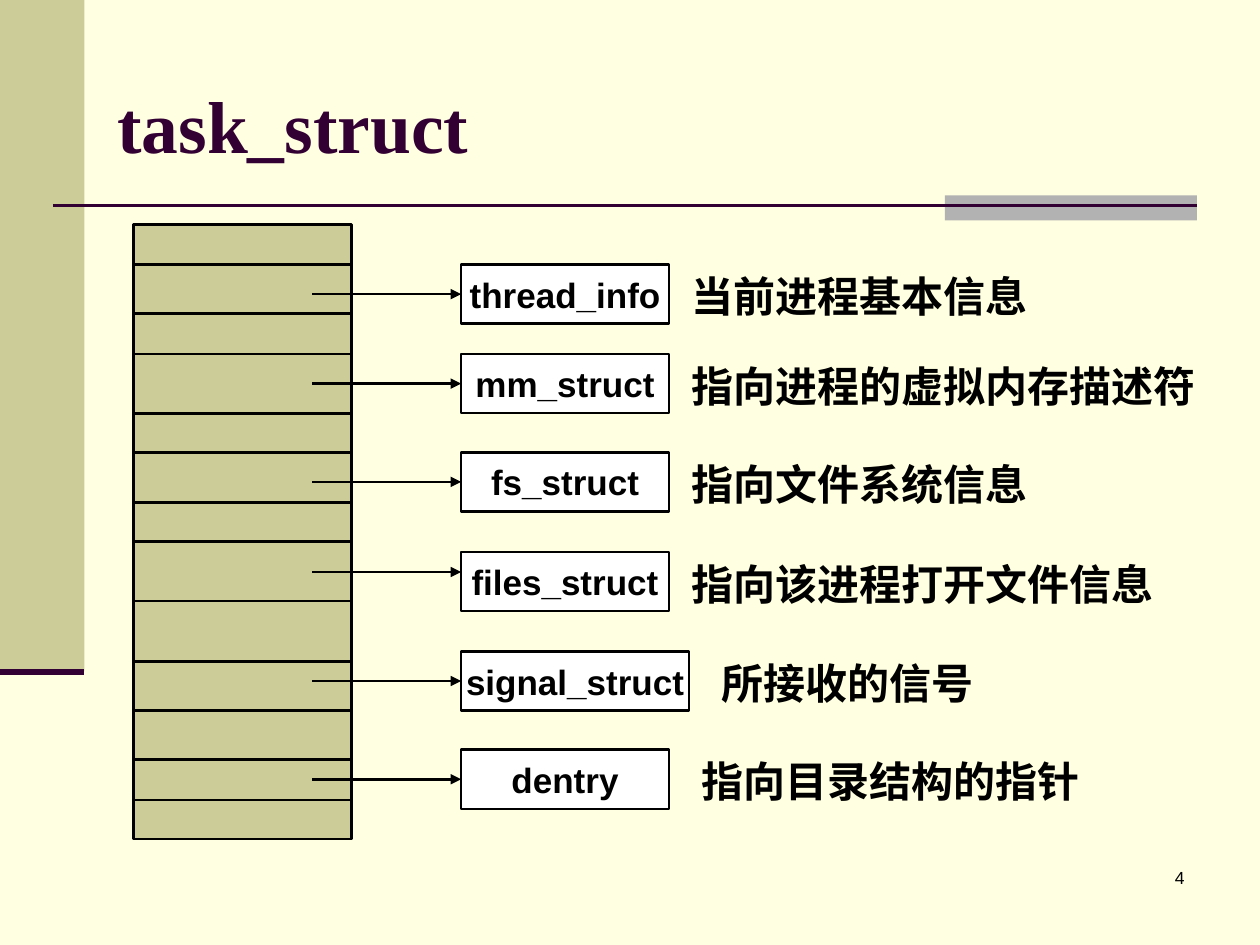
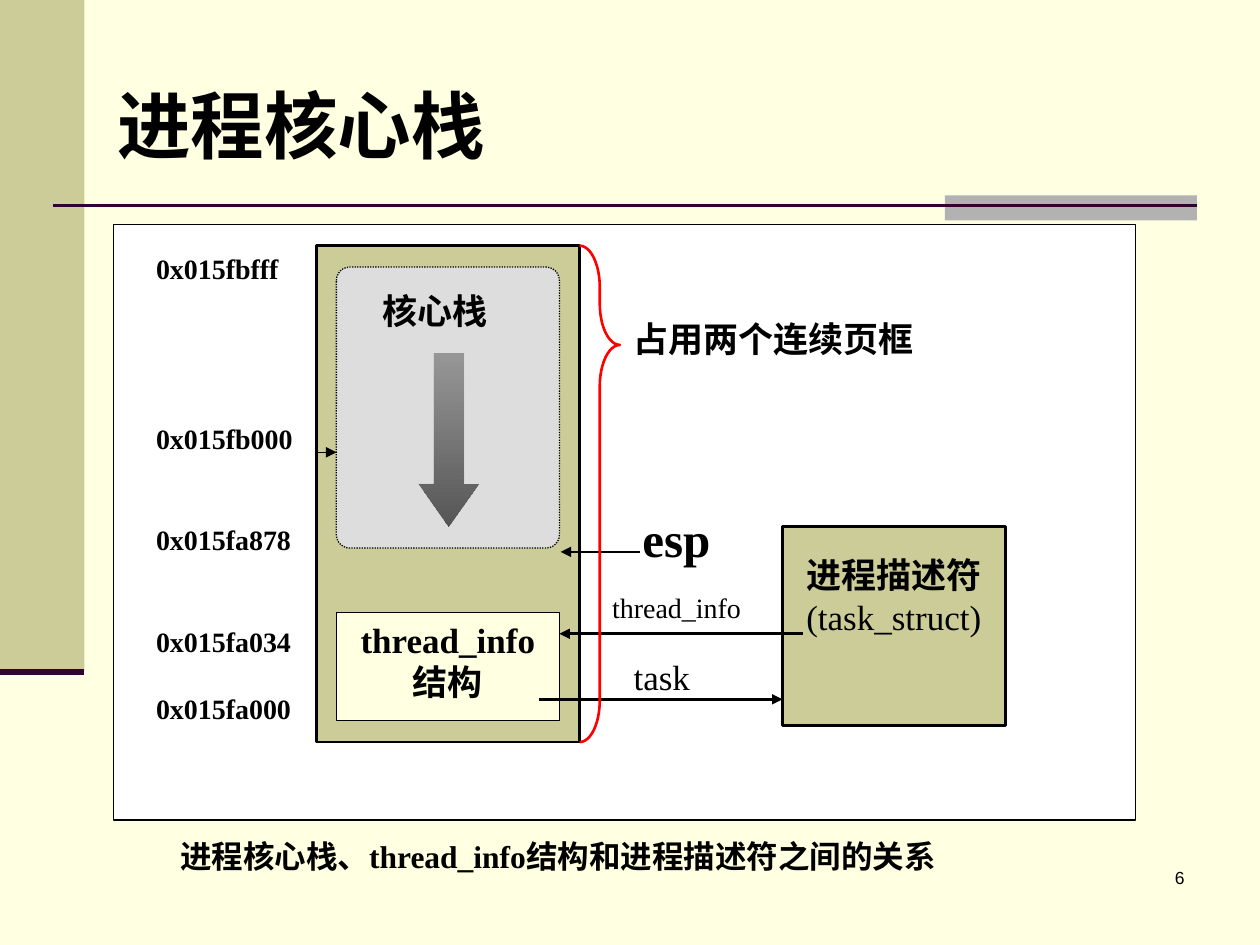
from lxml.etree import SubElement
from pptx import Presentation
from pptx.dml.color import RGBColor
from pptx.enum.dml import MSO_LINE
from pptx.enum.shapes import MSO_CONNECTOR, MSO_SHAPE as SHAPE
from pptx.enum.text import MSO_ANCHOR as ANCHOR, PP_ALIGN as ALIGN
from pptx.oxml.ns import qn
from pptx.util import Inches, Pt

# Grid: 100 columns by 75 rows, each cell a tenth of an inch
COLS, ROWS = 100, 75
CELL = Inches(0.1)

CREAM, KHAKI, PLUM = "FFFFE1", "CCCC99", "330033"
BAND, PANEL = "B2B2B2", "DDDDDD"
BLACK, WHITE, RED = "000000", "FFFFFF", "FF0000"
SANS, SERIF = "Arial", "Times New Roman"
INSETS = (1, 0.5, 1, 0.5)


def rgb(value):
    return RGBColor.from_string(value)


def grid(*cells):
    return [round(c * CELL) for c in cells]


def write(s, text, size, font=SERIF, color=BLACK, bold=True, align=ALIGN.LEFT,
          anchor=ANCHOR.TOP, insets=INSETS, wrap=True):
    """Fill a shape with text, one paragraph per line."""
    tf = s.text_frame
    tf.text = text
    tf.word_wrap = wrap
    tf.vertical_anchor = anchor
    tf.margin_left, tf.margin_top, tf.margin_right, tf.margin_bottom = grid(*insets)
    for p in tf.paragraphs:
        p.alignment = align
        for r in p.runs:
            r.font.size, r.font.name, r.font.bold = Pt(size), font, bold
            r.font.color.rgb = rgb(color)
    return s


def label(slide, at, text, size, **style):
    return write(slide.shapes.add_textbox(*grid(*at)), text, size, **style)


def shape(slide, at, fill=None, line=None, width=1.5, kind=SHAPE.RECTANGLE):
    s = slide.shapes.add_shape(kind, *grid(*at))
    s.shadow.inherit = False
    if fill:
        s.fill.solid()
        s.fill.fore_color.rgb = rgb(fill)
    else:
        s.fill.background()
    if line:
        s.line.color.rgb = rgb(line)
        s.line.width = Pt(width)
    else:
        s.line.fill.background()
    return s


def rule(slide, start, end, color=BLACK, width=1.5):
    s = slide.shapes.add_connector(MSO_CONNECTOR.STRAIGHT, *grid(*start, *end))
    s.line.color.rgb = rgb(color)
    s.line.width = Pt(width)
    SubElement(s._element.spPr, qn("a:effectLst"))
    return s


def arrow(slide, start, end, width=1.5):
    s = rule(slide, start, end, width=width)
    SubElement(s._element.spPr.find(qn("a:ln")), qn("a:tailEnd"), type="triangle")
    return s


def fade_down(s, stops):
    """Vertical gradient from (colour, opacity percent) stops."""
    s.fill.gradient()
    s.fill.gradient_angle = 270
    for position, (stop, (color, _)) in enumerate(zip(s.fill.gradient_stops, stops)):
        stop.position = position
        stop.color.rgb = rgb(color)
    colors = s._element.spPr.find(qn("a:gradFill")).iter(qn("a:srgbClr"))
    for node, (_, opacity) in zip(list(colors), stops):
        SubElement(node, qn("a:alpha"), val=str(opacity * 1000))


def new_slide(prs, title, number, title_color):
    """Slide with the shared side band, title rule, title and number."""
    slide = prs.slides.add_slide(prs.slide_layouts[5])
    shape(slide, (0, 0, 6.7, 53.3), KHAKI)
    shape(slide, (75, 15.5, 20, 2), BAND)
    rule(slide, (4.2, 16.3), (95, 16.3), PLUM)
    rule(slide, (0, 53.3), (6.7, 53.3), PLUM, 3.5)
    label(slide, (74.2, 68.3, 20.8, 5), str(number), 10, font=SANS,
          bold=False, align=ALIGN.RIGHT)
    s = slide.shapes.title
    s.left, s.top, s.width, s.height = grid(8.3, 3.6, 85, 12.5)
    write(s, title, 42, color=title_color, anchor=ANCHOR.MIDDLE)
    return slide


def task_struct_slide(prs):
    slide = new_slide(prs, "task_struct", 4, PLUM)

    # Record with its field dividers
    left, right = 10.6, 28
    shape(slide, (left, 17.8, 17.3, 48.8), KHAKI, BLACK)
    for y in (21, 24.9, 28.1, 32.8, 35.9, 39.9, 43, 47.7, 52.5, 56.4, 60.3, 63.5):
        rule(slide, (left, y), (right, y))

    # Fields: name, meaning, top, box width, meaning's left
    fields = [
        ("thread_info", "当前进程基本信息", 21, 16.5, 53.9),
        ("mm_struct", "指向进程的虚拟内存描述符", 28.1, 16.5, 53.9),
        ("fs_struct", "指向文件系统信息", 35.9, 16.5, 53.9),
        ("files_struct", "指向该进程打开文件信息", 43.8, 16.5, 53.9),
        ("signal_struct", "所接收的信号", 51.7, 18.1, 56.3),
        ("dentry", "指向目录结构的指针", 59.5, 16.5, 54.7),
    ]
    box_left, box_height, arrow_left = 36.6, 4.7, 24.8
    for name, meaning, top, width, meaning_left in fields:
        box = shape(slide, (box_left, top, width, box_height), WHITE, BLACK)
        write(box, name, 20, font=SANS, align=ALIGN.CENTER,
              anchor=ANCHOR.MIDDLE, wrap=False)
        label(slide, (meaning_left, top, 44.1, 5), meaning, 24, font=SANS)
        if name == "files_struct":  # this arrow meets its box above the middle
            arrow(slide, (arrow_left, 45.4), (box_left, 45.4))
        else:
            middle = top + box_height / 2
            arrow(slide, (arrow_left, middle), (box_left, middle)).end_connect(box, 1)


def kernel_stack_slide(prs):
    slide = new_slide(prs, "进程核心栈", 6, BLACK)
    shape(slide, (9, 17.8, 81.1, 47.3), WHITE, BLACK, 0.75)

    # Addresses, spaced by the number of lines between them
    addresses = [("0x015fbfff", 0), ("0x015fb000", 4), ("0x015fa878", 2),
                 ("0x015fa034", 2), ("0x015fa000", 1)]
    s = shape(slide, (11.4, 19.5, 15.3, 39.4), WHITE)
    write(s, "\n".join(a for a, _ in addresses), 16, align=ALIGN.JUSTIFY)
    for p, (_, gap) in zip(s.text_frame.paragraphs, addresses):
        if gap:
            p.space_before = Pt(19.4 * gap)

    # Two page frames with thread_info at the bottom
    shape(slide, (25.1, 19.5, 20.9, 39.4), KHAKI, BLACK)
    s = shape(slide, (26.7, 48.6, 17.7, 8.6), CREAM, BLACK, 0.75)
    write(s, "thread_info\n结构", 20, align=ALIGN.CENTER)
    arrow(slide, (42.8, 55.5), (62.1, 55.5))
    s = shape(slide, (47.6, 46.9, 12.9, 5.1), WHITE)
    write(s, "thread_info", 16, bold=False, insets=(1, 0, 1, 0.5))

    # Process descriptor
    s = shape(slide, (62.1, 41.8, 17.7, 15.8), KHAKI, BLACK)
    write(s, "进程描述符\n(task_struct)", 20, align=ALIGN.CENTER, insets=(1, 2.1, 1, 0.5))
    s.text_frame.paragraphs[1].runs[0].font.bold = False

    # Kernel stack growing downwards
    s = shape(slide, (26.7, 21.2, 17.7, 22.3), PANEL, BLACK, 0.75,
              SHAPE.ROUNDED_RECTANGLE)
    s.adjustments[0] = 0.06
    s.line.dash_style = MSO_LINE.ROUND_DOT
    label(slide, (29.5, 23, 10.1, 5.1), "核心栈", 20, align=ALIGN.CENTER,
          insets=(0, 0, 0, 0.1))
    s = shape(slide, (33.2, 28.1, 4.8, 13.7), kind=SHAPE.DOWN_ARROW)
    s.adjustments[0], s.adjustments[1] = 0.5, 0.71
    fade_down(s, [("808080", 75), ("313131", 79)])

    # Pointers and their labels
    write(shape(slide, (50, 39.9, 10.2, 6), WHITE), "esp", 28)
    arrow(slide, (50.8, 43.8), (44.5, 43.8))
    arrow(slide, (63.7, 50.3), (44.4, 50.3))
    label(slide, (49.3, 52, 7.5, 5.1), "task", 20, bold=False, insets=(1, 0, 1, 0.5))
    label(slide, (49.3, 24.7, 28.3, 6), "占用两个连续页框", 20)
    arrow(slide, (25.1, 35.9), (26.7, 35.9), 0.75)
    label(slide, (12.2, 65.9, 70.8, 4.7),
          "进程核心栈、thread_info结构和进程描述符之间的关系", 18,
          insets=(2.1, 0.5, 1, 0.5))

    # Brace around both page frames
    s = shape(slide, (46, 19.5, 3.2, 39.4), line=RED, kind=SHAPE.RIGHT_BRACE)
    s.adjustments[0], s.adjustments[1] = 1.03, 0.2


def main():
    prs = Presentation()
    prs.slide_width, prs.slide_height = grid(COLS, ROWS)
    background = prs.slide_master.background.fill
    background.solid()
    background.fore_color.rgb = rgb(CREAM)
    task_struct_slide(prs)
    kernel_stack_slide(prs)
    prs.save("out.pptx")


if __name__ == "__main__":
    main()
